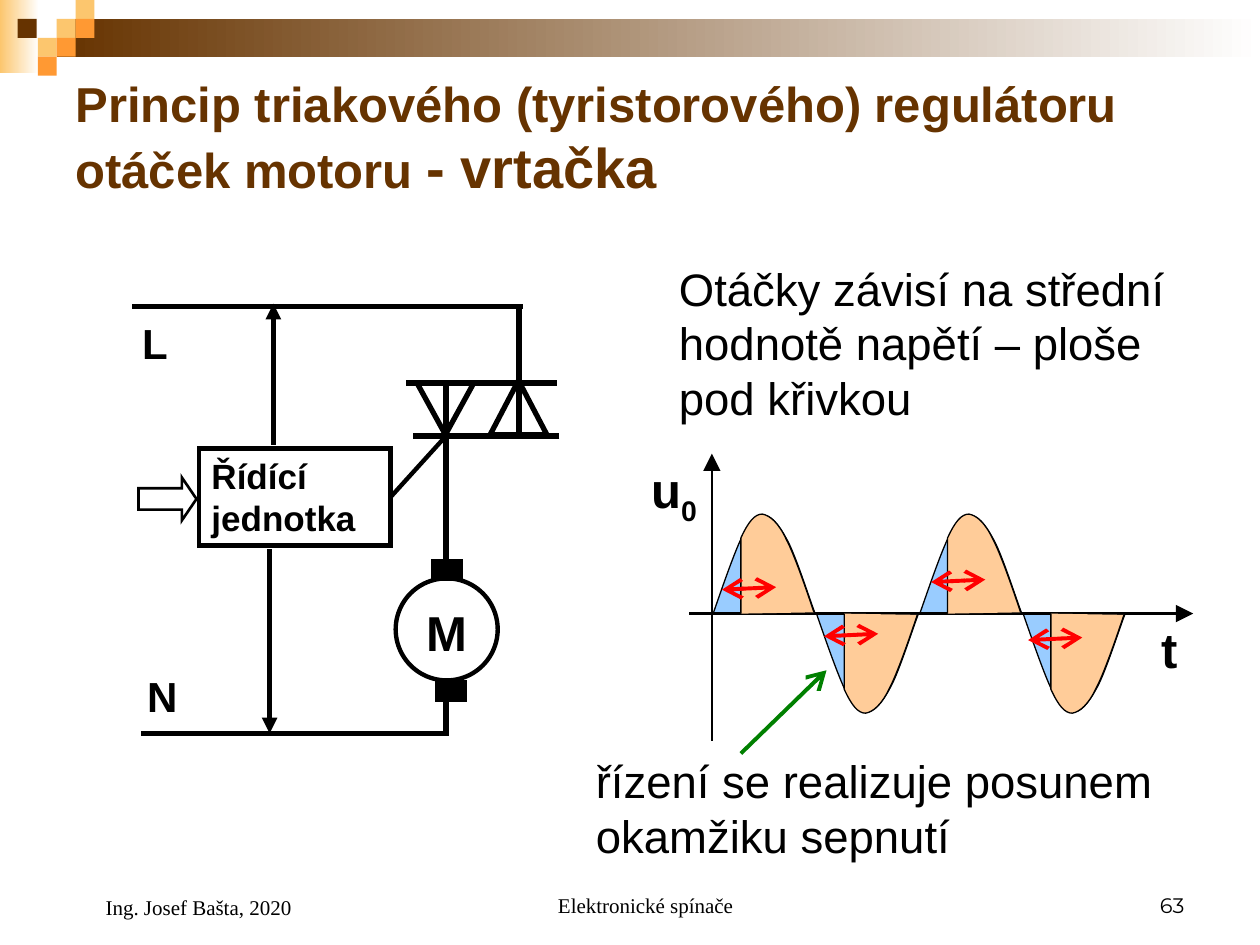
"""Build the slide on triac speed control of a drill motor."""
from dataclasses import dataclass
from typing import Optional

from lxml import etree
from pptx import Presentation
from pptx import util as u
from pptx.dml.color import RGBColor
from pptx.enum import shapes, text
from pptx.oxml import ns

BLACK = RGBColor(0x00, 0x00, 0x00)
WHITE = RGBColor(0xFF, 0xFF, 0xFF)
BROWN = RGBColor(0x66, 0x33, 0x00)
GOLD = RGBColor(0xFC, 0xC6, 0x6E)
ORANGE = RGBColor(0xFF, 0x99, 0x33)
PEACH = RGBColor(0xFF, 0xCC, 0x99)
SKY = RGBColor(0x99, 0xCC, 0xFF)
RED = RGBColor(0xFF, 0x00, 0x00)
GREEN = RGBColor(0x00, 0x80, 0x00)

SHAPE = shapes.MSO_SHAPE
ALIGN = text.PP_ALIGN
ANCHOR = text.MSO_ANCHOR

HALF_WAVE = [(0, 0), (.08, .23), (.16, .46), (.22, .59), (.29, .72), (.34, .78), (.4, .78),
             (.46, .78), (.52, .71), (.59, .58), (.66, .45), (.77, .1), (.81, 0)]
CONDUCTING_WAVE = [(.22, 0), (.22, .6), (.28, .73), (.33, .79), (.39, .79), (.45, .78),
                   (.52, .72), (.58, .59), (.65, .46), (.77, .1), (.8, .01)]
WAVE_LEFT, WAVE_STEP, AXIS_TOP = 5.66, .82, 4.87


@dataclass
class Line:
    start: tuple
    end: tuple
    width: float = 3
    color: RGBColor = BLACK
    head: Optional[str] = None
    tail: Optional[str] = None
    arrow_size: str = "med"


@dataclass
class Block:
    kind: int
    box: tuple
    width: float
    fill: Optional[RGBColor] = None
    rotation: float = 0


@dataclass
class Label:
    words: str
    box: tuple
    size: float
    bold: bool = False
    font: str = "Arial"
    align: int = ALIGN.LEFT
    anchor: int = ANCHOR.TOP
    indent: float = 0


AXES = [
    Line((5.47, AXIS_TOP), (9.47, AXIS_TOP), 1.5, tail="triangle", arrow_size="lg"),
    Line((5.65, 5.88), (5.65, 3.6), 1.5, tail="triangle", arrow_size="lg"),
]
CIRCUIT_LINES = [
    Line((4.12, 3.45), (4.12, 2.43)),
    Line((4.42, 3.04), (3.22, 3.04)),
    Line((3.54, 3.03), (3.54, 4.55)),
    Line((4.44, 3.46), (3.28, 3.46)),
    Line((1.12, 5.82), (3.53, 5.82)),
    Line((3.54, 5.48), (3.54, 5.84)),
    Line((1.05, 2.43), (4.15, 2.43)),
    Line((2.17, 2.41), (2.17, 3.53), head="triangle"),
    Line((2.14, 4.36), (2.14, 5.82), tail="triangle"),
]
SHIFT_STARTS = [(5.73, 4.68), (6.54, 5.05), (8.16, 5.08), (7.39, 4.62)]
CIRCUIT_BLOCKS = [
    Block(SHAPE.ISOSCELES_TRIANGLE, (3.89, 3.02, .45, .43), 3),
    Block(SHAPE.ISOSCELES_TRIANGLE, (3.31, 3.04, .45, .41), 3, rotation=180),
    Block(SHAPE.OVAL, (3.14, 4.59, .81, .81), 2.5),
    Block(SHAPE.RECTANGLE, (3.43, 4.44, .24, .17), .75, BLACK),
    Block(SHAPE.RECTANGLE, (3.46, 5.4, .24, .17), .75, BLACK),
]
LABELS = [
    Label("t", (9.12, 4.87, .45, .57), 28, True),
    Label("M", (3.29, 4.73, .54, .57), 28, True),
    Label("L", (1.03, 2.47, .54, .5), 24, True),
    Label("N", (1.07, 5.27, .54, .5), 24, True),
    Label("Otáčky závisí na střední hodnotě napětí – ploše pod křivkou", (5.29, 2.02, 4.2, 1.4), 26),
    Label("řízení se realizuje posunem okamžiku sepnutí", (4.63, 5.93, 5.08, .97), 26),
    Label("Elektronické spínače", (3.42, 6.83, 3.17, .5), 12, False, "Times New Roman",
          ALIGN.CENTER, ANCHOR.BOTTOM, .24),
    Label("63", (7.17, 6.83, 2.33, .5), 12, False, "Montserrat", ALIGN.RIGHT, ANCHOR.BOTTOM),
    Label("Ing. Josef Bašta, 2020", (.5, 6.83, 2.33, .52), 12, False, "Times New Roman",
          ALIGN.LEFT, ANCHOR.BOTTOM, .24),
]
TILES = [(.45, .15, GOLD), (.6, 0, GOLD), (.6, .15, ORANGE), (.3, .3, GOLD),
         (.14, .15, BROWN), (.45, .3, ORANGE), (.3, .45, ORANGE)]


def inches(values: tuple) -> list:
    return [u.Inches(value) for value in values]


def draw_block(slide, block: Block):
    shape = slide.shapes.add_shape(block.kind, *inches(block.box))
    shape.shadow.inherit = False
    shape.rotation = block.rotation
    if block.fill is None:
        shape.fill.background()
    else:
        shape.fill.solid()
        shape.fill.fore_color.rgb = block.fill
    if block.width:
        shape.line.color.rgb = BLACK
        shape.line.width = u.Pt(block.width)
        etree.SubElement(shape.line._get_or_add_ln(), ns.qn("a:miter")).set("lim", "800000")
    else:
        shape.line.fill.background()
    return shape


def draw_gradient(slide, box: tuple, color: RGBColor) -> None:
    shape = draw_block(slide, Block(SHAPE.RECTANGLE, box, 0))
    shape.fill.gradient()
    shape.fill.gradient_angle = 180
    for stop, stop_color in zip(shape.fill.gradient_stops, (WHITE, color)):
        stop.color.rgb = stop_color


def draw_line(slide, line: Line):
    connector = slide.shapes.add_connector(
        shapes.MSO_CONNECTOR.STRAIGHT, *inches(line.start + line.end))
    connector.line.color.rgb = line.color
    connector.line.width = u.Pt(line.width)
    outline = connector.line._get_or_add_ln()
    for tag, kind in (("a:headEnd", line.head), ("a:tailEnd", line.tail)):
        if kind:
            etree.SubElement(outline, ns.qn(tag), type=kind, w=line.arrow_size,
                             len=line.arrow_size)
    etree.SubElement(connector._element.spPr, ns.qn("a:effectLst"))
    return connector


def bend_segments(shape, straight: int) -> None:
    segments = list(shape._element.iter(ns.qn("a:lnTo")))[straight:]
    outline = segments[0].getparent()
    for first in range(0, len(segments), 3):
        curve = etree.SubElement(outline, ns.qn("a:cubicBezTo"))
        for segment in segments[first:first + 3]:
            curve.append(segment[0])
            outline.remove(segment)


def draw_wave(slide, index: int, knots: list, color: RGBColor, straight: int) -> None:
    left, sign = WAVE_LEFT + index * WAVE_STEP, (-1) ** index
    places = [(u.Inches(left + x), u.Inches(AXIS_TOP - sign * y)) for x, y in knots]
    builder = slide.shapes.build_freeform(*places[0])
    builder.add_line_segments(places[1:], close=False)
    shape = builder.convert_to_shape()
    bend_segments(shape, straight)
    shape.shadow.inherit = False
    shape.fill.solid()
    shape.fill.fore_color.rgb = color
    shape.line.color.rgb = BLACK
    shape.line.width = u.Pt(.75)


def style_run(run, size: float, bold: bool, color: RGBColor, font: str = "Arial") -> None:
    run.font.name, run.font.size, run.font.bold = font, u.Pt(size), bold
    run.font.color.rgb = color


def write_label(shape, label: Label):
    frame = shape.text_frame
    frame.word_wrap = True
    frame.vertical_anchor = label.anchor
    frame.text = label.words
    paragraph = frame.paragraphs[0]
    paragraph.alignment = label.align
    if label.indent:
        paragraph._p.get_or_add_pPr().set("marL", str(u.Inches(label.indent)))
    style_run(paragraph.runs[0], label.size, label.bold, BLACK, label.font)
    return paragraph


def draw_label(slide, label: Label):
    return write_label(slide.shapes.add_textbox(*inches(label.box)), label)


def write_title(slide) -> None:
    title = slide.shapes.title
    title.left, title.top, title.width, title.height = inches((.5, .55, 9, 1.07))
    frame = title.text_frame
    frame.auto_size = text.MSO_AUTO_SIZE.NONE
    frame.vertical_anchor = ANCHOR.MIDDLE
    paragraph = frame.paragraphs[0]
    paragraph.alignment = ALIGN.LEFT
    for words, size in (("Princip triakového (tyristorového) regulátoru otáček motoru ", 28),
                        ("- vrtačka", 32)):
        run = paragraph.add_run()
        run.text = words
        style_run(run, size, True, BROWN)


def main() -> None:
    presentation = Presentation()
    presentation.slide_width, presentation.slide_height = inches((10, 7.5))
    slide = presentation.slides.add_slide(presentation.slide_layouts[5])
    draw_gradient(slide, (0, 0, .31, .58), GOLD)
    draw_gradient(slide, (.45, .15, 9.55, .3), BROWN)
    for left, top, color in TILES:
        draw_block(slide, Block(SHAPE.RECTANGLE, (left, top, .15, .15), 0, color))
    write_title(slide)

    for index in range(4):
        draw_wave(slide, index, HALF_WAVE, SKY, 0)
    for line in AXES:
        draw_line(slide, line)
    voltage = draw_label(slide, Label("u", (5.07, 3.6, .67, .63), 28, True))
    subscript = voltage.add_run()
    subscript.text = "0"
    style_run(subscript, 28, True, BLACK)
    subscript.font._element.set("baseline", "-25000")
    for index in range(4):
        draw_wave(slide, index, CONDUCTING_WAVE, PEACH, 1)

    for block in CIRCUIT_BLOCKS:
        draw_block(slide, block)
    for line in CIRCUIT_LINES:
        draw_line(slide, line)
    control_box = (1.58, 3.56, 1.52, .77)
    control = draw_block(slide, Block(SHAPE.RECTANGLE, control_box, 2.5))
    write_label(control, Label("Řídící jednotka", control_box, 20, True))
    draw_line(slide, Line((3.1, 3.95), (3.54, 3.46), 2.5)).begin_connect(control, 3)
    arrow = draw_block(slide, Block(SHAPE.RIGHT_ARROW, (1.1, 3.79, .46, .34), 1.5))
    arrow.adjustments[1] = .34

    for label in LABELS:
        draw_label(slide, label)
    for left, top in SHIFT_STARTS:
        draw_line(slide, Line((left, top), (left + .43, top - .02), 2.25, RED,
                              "arrow", "arrow", "lg"))
    draw_line(slide, Line((5.88, 5.98), (6.56, 5.32), 2.25, GREEN, tail="arrow", arrow_size="lg"))
    presentation.save("out.pptx")


if __name__ == "__main__":
    main()
